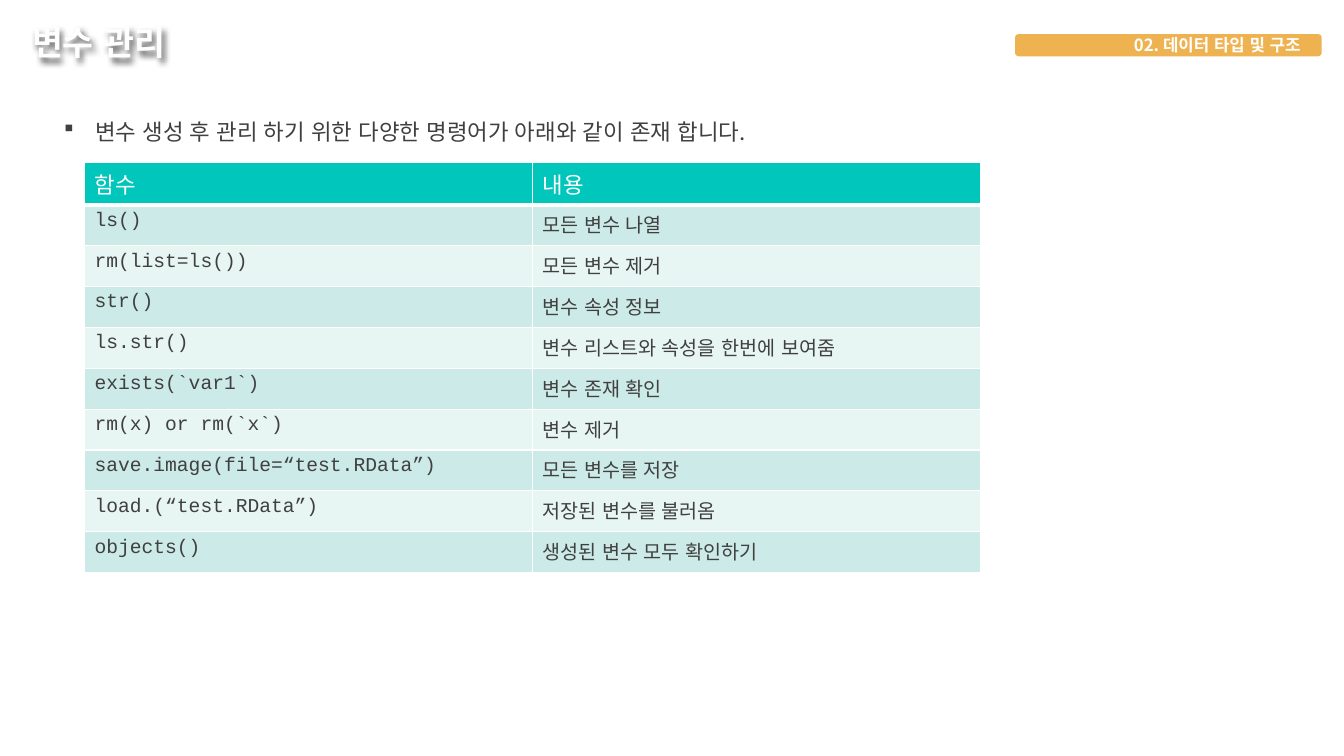
import pptx
import pptx.util
import pptx.dml.color
import pptx.enum.lang
import pptx.enum.shapes
import pptx.enum.text
import pptx.oxml
import pptx.oxml.ns
from lxml import etree

Cm, Pt = pptx.util.Cm, pptx.util.Pt
ANCHOR = pptx.enum.text.MSO_ANCHOR
qn = pptx.oxml.ns.qn
NS = pptx.oxml.ns.nsdecls("a")
KOREAN = "Noto Sans CJK KR"
WHITE, GREY = "FFFFFF", "404040"


def rgb(code):
    return pptx.dml.color.RGBColor.from_string(code)


def write(tf, text, size=14, color=GREY, font=KOREAN, bold=False, align=None):
    """Add a run to the first paragraph."""
    p = tf.paragraphs[0]
    p.alignment = align
    r = p.add_run()
    r.text = text
    r.font.size, r.font.bold, r.font.name = Pt(size), bold, font
    r.font.language_id = pptx.enum.lang.MSO_LANGUAGE_ID.KOREAN
    r.font.color.rgb = rgb(color)
    etree.SubElement(r.font._element, qn("a:ea"), typeface=KOREAN)


prs = pptx.Presentation()
prs.slide_width, prs.slide_height = Cm(33.87), Cm(19.05)
s = prs.slides.add_slide(prs.slide_layouts[6])

# Title: the unfilled box casts its shadow from the letters
title = s.shapes.add_textbox(Cm(0.56), Cm(0.23), Cm(29.36), Cm(1.47))
title._element.spPr.append(pptx.oxml.parse_xml(
    f'<a:effectLst {NS}><a:outerShdw blurRad="50800" dist="38100" dir="2700000" '
    'algn="tl" rotWithShape="0"><a:srgbClr val="000000"><a:alpha val="60000"/>'
    '</a:srgbClr></a:outerShdw></a:effectLst>'))
tf = title.text_frame
tf.word_wrap = True
tf.vertical_anchor = ANCHOR.BOTTOM
write(tf, "변수 관리", size=24, color="FEFEFE", font="League Spartan", bold=True)

# Chapter badge
badge = s.shapes.add_shape(pptx.enum.shapes.MSO_SHAPE.ROUNDED_RECTANGLE,
                           Cm(25.58), Cm(0.86), Cm(7.73), Cm(0.56))
badge.shadow.inherit = False
badge.fill.solid()
badge.fill.fore_color.rgb = rgb("EFB251")
badge.line.fill.background()
tf = badge.text_frame
tf.vertical_anchor = ANCHOR.MIDDLE
tf.margin_top = tf.margin_bottom = 0
tf.margin_right = Cm(0.5)
write(tf, "02. 데이터 타입 및 구조", size=12, color=WHITE, bold=True,
      align=pptx.enum.text.PP_ALIGN.RIGHT)

# Function table
rows = [
    ("함수", "내용"),
    ("ls()", "모든 변수 나열"),
    ("rm(list=ls())", "모든 변수 제거"),
    ("str()", "변수 속성 정보"),
    ("ls.str()", "변수 리스트와 속성을 한번에 보여줌"),
    ("exists(`var1`)", "변수 존재 확인"),
    ("rm(x) or rm(`x`)", "변수 제거"),
    ("save.image(file=“test.RData”)", "모든 변수를 저장"),
    ("load.(“test.RData”)", "저장된 변수를 불러옴"),
    ("objects()", "생성된 변수 모두 확인하기"),
]
table = s.shapes.add_table(len(rows), 2, Cm(2.13), Cm(4.1), Cm(22.58), Cm(10.33)).table
for i, row in enumerate(rows):
    header = i == 0
    table.rows[i].height = Cm(1.06 if header else 1.03)
    for j, text in enumerate(row):
        cell = table.cell(i, j)
        tcPr = cell._tc.get_or_add_tcPr()
        for side in "LRTB":
            thick = (i, side) in ((0, "B"), (1, "T"))
            tcPr.append(pptx.oxml.parse_xml(
                f'<a:ln{side} {NS} w="{Pt(3 if thick else 1)}"><a:solidFill>'
                f'<a:srgbClr val="{WHITE}"/></a:solidFill></a:ln{side}>'))
        cell.fill.solid()
        cell.fill.fore_color.rgb = rgb("00C6BB" if header else ("E7F5F3", "CCEAE7")[i % 2])
        write(cell.text_frame, text, size=16 if header else 14,
              color=WHITE if header else GREY,
              font=KOREAN if header else "Courier New")

# Bulleted introduction
tf = s.shapes.add_textbox(Cm(1.36), Cm(2.51), Cm(26.67), Cm(1.19)).text_frame
tf.word_wrap = True
p = tf.paragraphs[0]
p.line_spacing = 1.5
pPr = p._p.get_or_add_pPr()
pPr.set("marL", str(Cm(0.79)))
pPr.set("indent", str(-Cm(0.79)))
etree.SubElement(pPr, qn("a:buFont"), typeface="Wingdings", charset="2")
etree.SubElement(pPr, qn("a:buChar"), char="§")
write(tf, "변수 생성 후 관리 하기 위한 다양한 명령어가 아래와 같이 존재 합니다.", size=16)

prs.save("out.pptx")
